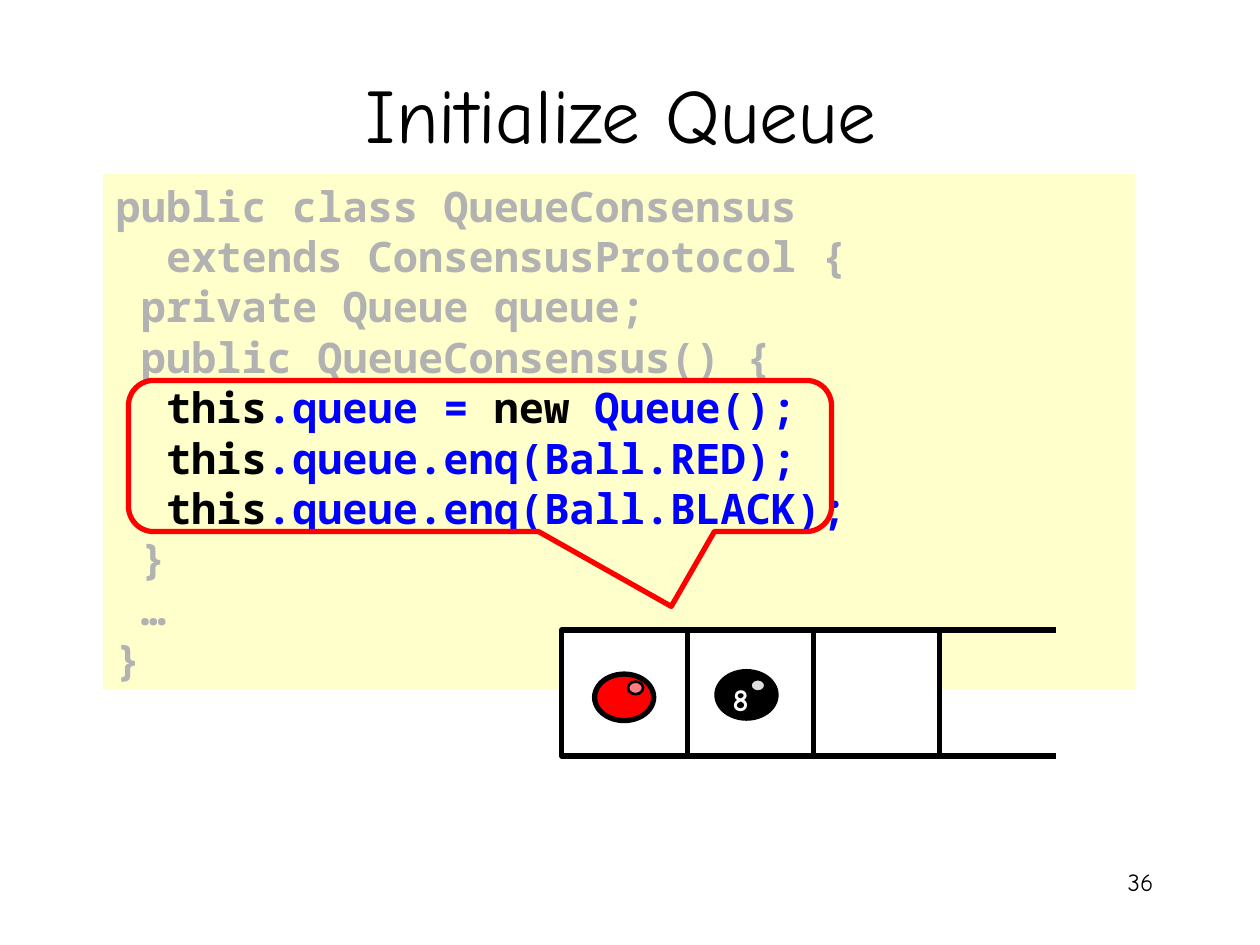
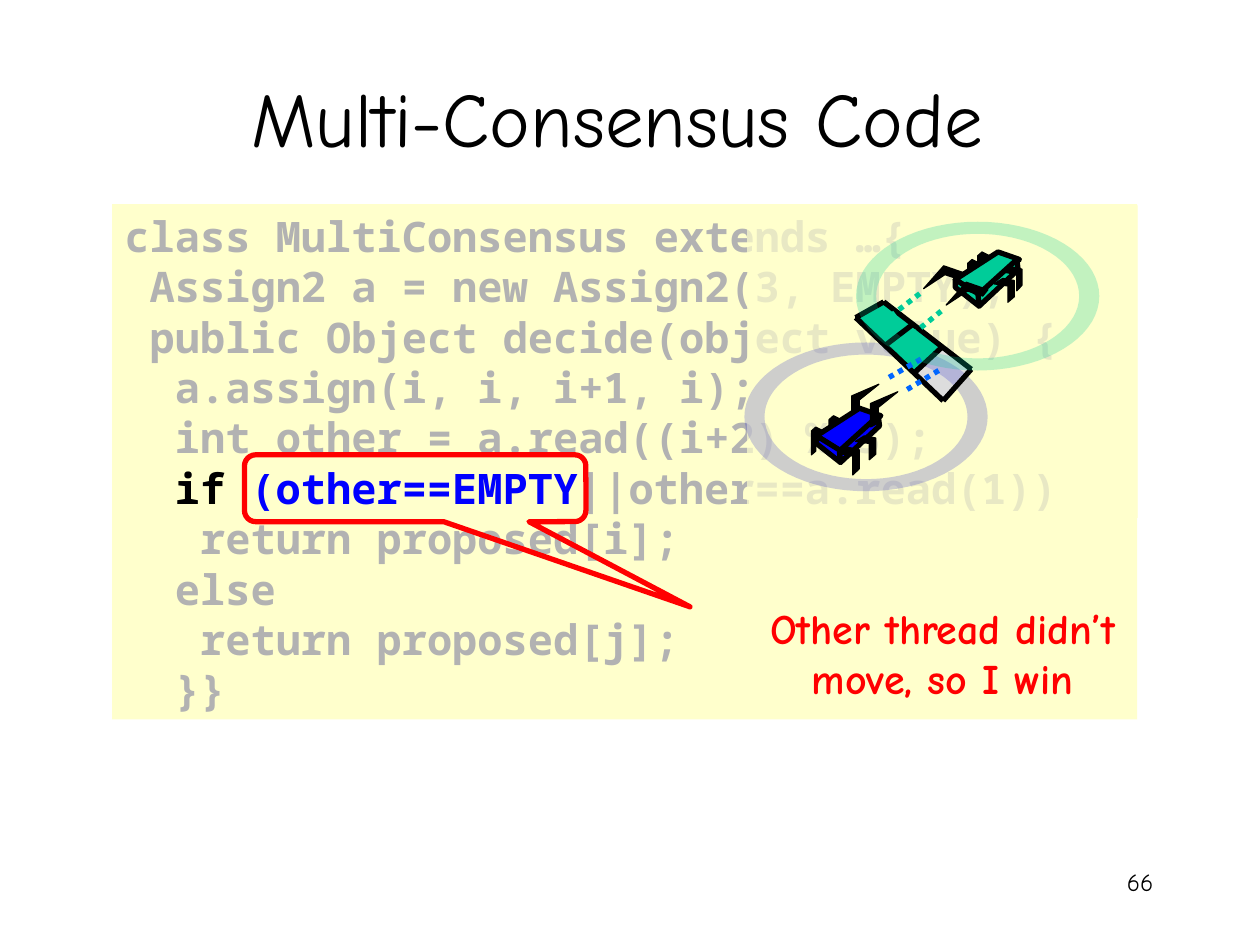
import math

import pptx
import pptx.dml.color
import pptx.enum.dml
import pptx.enum.shapes
import pptx.enum.text
import pptx.oxml.ns
import pptx.util
from lxml import etree

Pt = pptx.util.Pt
RGBColor = pptx.dml.color.RGBColor
SHAPE = pptx.enum.shapes.MSO_SHAPE
ALIGN = pptx.enum.text.PP_ALIGN
ANCHOR = pptx.enum.text.MSO_ANCHOR
qn = pptx.oxml.ns.qn

BLACK = RGBColor(0x00, 0x00, 0x00)
WHITE = RGBColor(0xFF, 0xFF, 0xFF)
CREAM = RGBColor(0xFF, 0xFF, 0xCC)
FADED = RGBColor(0xB2, 0xB2, 0xB2)
SILVER = RGBColor(0xDD, 0xDD, 0xDD)
RED = RGBColor(0xFF, 0x00, 0x00)
PINK = RGBColor(0xFF, 0x7C, 0x80)
BLUE = RGBColor(0x00, 0x00, 0xFF)
SKY = RGBColor(0x00, 0x66, 0xFF)
INDIGO = RGBColor(0x33, 0x33, 0xCC)
GREEN = RGBColor(0x00, 0xCC, 0x99)

TEXT_FONT = "Comic Neue"
CODE_FONT = "Noto Sans Mono"

CLAW_DOWN = [(0, 20), (4.3, 18), (4.3, 9), (15.5, 0), (0, 6.7)]
CLAW_UP = [(23.8, 4.3), (20.9, 7.9), (12.2, 5), (0, 13), (11.5, 0)]
BACK_LEG = [(6.8, 2.2), (2.5, 0), (0, 2.2), (0, 15.8), (2.5, 13.7), (2.5, 5), (6.8, 7.2)]
FRONT_LEG = [(5, 0), (0, 3.6), (7.9, 5), (7.9, 15.8), (11.5, 12.2), (11.5, 1.4)]
BODY_FACES = [
    [(24.5, 0), (0, 15.8), (13.7, 24.5), (36.7, 4.3)],
    [(35.3, 4.3), (13, 24.5), (13.7, 31), (36, 10.1)],
    [(0, 15.8), (0, 20.2), (13.7, 31), (13, 23.8)],
]


class Deck:
    def __init__(self):
        self.prs = pptx.Presentation()
        self.prs.slide_width, self.prs.slide_height = Pt(720), Pt(540)
        self.shapes = None

    def slide(self, title, title_left, title_top, number):
        self.shapes = self.prs.slides.add_slide(self.prs.slide_layouts[6]).shapes
        self.text((516.2, 491.8, 150, 36), number, 14, BLACK, ALIGN.RIGHT)
        heading = self.text((title_left, title_top, 612, 90), title, 44, BLACK, ALIGN.CENTER)
        heading.text_frame.vertical_anchor = ANCHOR.MIDDLE

    def run(self, paragraph, text, size, color, font=TEXT_FONT, bold=False):
        run = paragraph.add_run()
        run.text = text
        run.font.name, run.font.size, run.font.bold = font, Pt(size), bold
        run.font.color.rgb = color

    def text(self, box, text, size, color, align, bold=False, wrap=True):
        area = self.shapes.add_textbox(*map(Pt, box))
        area.text_frame.word_wrap = wrap
        paragraph = area.text_frame.paragraphs[0]
        paragraph.alignment = align
        self.run(paragraph, text, size, color, bold=bold)
        return area

    def paint(self, shape, fill=None, line=None, width=3, alpha=None):
        shape.shadow.inherit = False
        if fill is None:
            shape.fill.background()
        else:
            shape.fill.solid()
            shape.fill.fore_color.rgb = fill
        if alpha:
            color = shape._element.spPr.find(f".//{qn('a:srgbClr')}")
            etree.SubElement(color, qn("a:alpha")).set("val", str(alpha * 1000))
        if line is None:
            shape.line.fill.background()
        else:
            shape.line.color.rgb = line
            shape.line.width = Pt(width)

    def shape(self, preset, box, **look):
        shape = self.shapes.add_shape(preset, *map(Pt, box))
        self.paint(shape, **look)
        return shape

    def code(self, box, lines):
        panel = self.shape(SHAPE.RECTANGLE, box, fill=CREAM)
        frame = panel.text_frame
        frame.word_wrap = True
        frame.vertical_anchor = ANCHOR.TOP
        for index, line in enumerate(lines):
            paragraph = frame.add_paragraph() if index else frame.paragraphs[0]
            paragraph.alignment = ALIGN.LEFT
            for text, color in [(line, FADED)] if isinstance(line, str) else line:
                self.run(paragraph, text, 24, color, CODE_FONT, True)

    def callout(self, box, tip_x, tip_y):
        bubble = self.shape(SHAPE.ROUNDED_RECTANGULAR_CALLOUT, box, line=RED)
        for index, value in enumerate((tip_x, tip_y, 0.167)):
            bubble.adjustments[index] = value

    def line(self, start, end, color=BLACK, dash=None):
        line = self.shapes.add_connector(
            pptx.enum.shapes.MSO_CONNECTOR.STRAIGHT, *map(Pt, (*start, *end)))
        line.line.color.rgb = color
        line.line.width = Pt(3)
        if dash:
            line.line.dash_style = dash
        etree.SubElement(line._element.spPr, qn("a:effectLst"))

    def outline(self, contours, **look):
        first, *rest = [[(Pt(x), Pt(y)) for x, y in contour] for contour in contours]
        builder = self.shapes.build_freeform(*first[0])
        builder.add_line_segments(first[1:], close=True)
        for contour in rest:
            builder.move_to(*contour[0])
            builder.add_line_segments(contour[1:], close=True)
        self.paint(builder.convert_to_shape(), **look)

    def limb(self, origin, points, fill=BLACK, width=0.75, scale=(1, 1)):
        moved = [(origin[0] + x * scale[0], origin[1] + y * scale[1]) for x, y in points]
        self.outline([moved], fill=fill, line=BLACK, width=width)

    def ring(self, x, y, color):
        def ellipse(rx, ry, turn):
            angles = [turn * math.tau * step / 72 for step in range(72)]
            return [(x + rx * math.cos(a), y + ry * math.sin(a)) for a in angles]
        self.outline([ellipse(69.5, 42.5, 1), ellipse(58, 35.6, -1)], fill=color, alpha=24)

    def ball(self, left, top, color, shine):
        self.shape(SHAPE.OVAL, (left, top, 33.8, 26.6), fill=color, line=BLACK)
        self.shape(SHAPE.OVAL, (left + 19.1, top + 4.3, 8.6, 7.2), fill=shine, line=BLACK, width=1.5)

    def bug(self, color, body, claw, claws, back_legs, front_legs):
        self.limb(claws[0], claw)
        for origin in back_legs:
            self.limb(origin, BACK_LEG)
        for face in BODY_FACES:
            self.limb(body, face, color, 3)
        for origin, scale in front_legs:
            self.limb(origin, FRONT_LEG, scale=scale)
        self.limb(claws[1], claw)


def initialize_queue(deck):
    deck.slide("Initialize Queue", 49, 19.4, "36")
    deck.code((59, 99.4, 589.7, 294.5), [
        "public class QueueConsensus",
        "  extends ConsensusProtocol {",
        " private Queue queue;",
        " public QueueConsensus() {",
        [("  ", BLUE), ("this", BLACK), (".queue = ", BLUE), ("new", BLACK), (" Queue();", BLUE)],
        [("  ", BLUE), ("this", BLACK), (".queue.enq(Ball.RED);", BLUE)],
        [("  ", BLUE), ("this", BLACK), (".queue.enq(Ball.BLACK);", BLUE)],
        " }",
        " …",
        "}",
    ])
    deck.callout((73.4, 217.4, 401.8, 86.4), 0.272, 0.995)
    for slot in range(3):
        deck.shape(SHAPE.RECTANGLE, (321 + 72 * slot, 360, 72, 72), fill=WHITE, line=BLACK)
    for rail in (360, 432):
        deck.line((531.4, rail), (603.4, rail))
    deck.ball(409.7, 383.8, BLACK, SILVER)
    deck.text((409.7, 385.2, 25.2, 28.8), "8", 18, WHITE, ALIGN.RIGHT, bold=True, wrap=False)
    deck.ball(339.8, 385.2, RED, PINK)


def multi_consensus(deck):
    deck.slide("Multi-Consensus Code", 46.8, 21.6, "66")
    deck.code((64.1, 116.6, 585.8, 294.5), [
        "class MultiConsensus extends …{",
        " Assign2 a = new Assign2(3, EMPTY);",
        " public Object decide(object value) {",
        "  a.assign(i, i, i+1, i);",
        "  int other = a.read((i+2) % 3);",
        [("  ", BLUE), ("if", BLACK), (" (other==EMPTY", BLUE), ("||other==a.read(1))", FADED)],
        "   return proposed[i];",
        "  else",
        "   return proposed[j];",
        "  }}",
    ])
    deck.shape(SHAPE.RECTANGLE, (427, 117.4, 223.2, 178.6), fill=CREAM, alpha=70)
    deck.callout((139.7, 259.9, 195.1, 38.2), 0.805, 1.774)
    deck.text((413.3, 340.6, 250.6, 64.8), "Other thread didn’t move, so I win", 24, RED,
              ALIGN.CENTER, bold=True)

    top, left, bottom, right = (505, 172.5), (489, 181.5), (539, 229), (555, 211)
    upper_seam = (505, 198), (521, 185.8)
    lower_seam = (522, 213.5), (538.4, 198.3)
    deck.outline([[top, left, bottom, right]], fill=SILVER, line=BLACK, width=0.75)
    deck.ring(494.9, 238.2, INDIGO)
    deck.outline([[*upper_seam[::-1], *lower_seam]], fill=GREEN, line=BLACK, width=0.75)
    deck.outline([[top, left, *upper_seam]], fill=GREEN, line=BLACK, width=0.75)
    deck.bug(BLUE, (466.6, 233.3), CLAW_DOWN,
             claws=[(486.7, 219.6), (497.5, 223.9)],
             back_legs=[(463.7, 244.1), (473.8, 237.6)],
             front_legs=[((479.5, 255.6), (1, 1)), ((488.9, 249.1), (1, 0.86))])
    deck.bug(GREEN, (545.8, 144), CLAW_UP,
             claws=[(527.8, 151.9), (540.7, 161.3)],
             back_legs=[(558.7, 144), (553, 148.3)],
             front_legs=[((574.6, 152.6), (0.81, 0.86)), ((568.1, 159.1), (1, 0.86))])
    for edge in ((left, bottom), (top, right), (left, top), (bottom, right), lower_seam, upper_seam):
        deck.line(*edge)
    for color, start, end in (
        (GREEN, (525.6, 167.8), (506.9, 182.2)),
        (GREEN, (537.8, 177.8), (519.1, 193)),
        (SKY, (526.3, 205.2), (506.2, 216.7)),
        (SKY, (536.4, 211.7), (516.2, 223.9)),
    ):
        deck.line(start, end, color, pptx.enum.dml.MSO_LINE.ROUND_DOT)
    deck.ring(558.7, 169.2, GREEN)


def main():
    deck = Deck()
    initialize_queue(deck)
    multi_consensus(deck)
    deck.prs.save("out.pptx")


if __name__ == "__main__":
    main()
